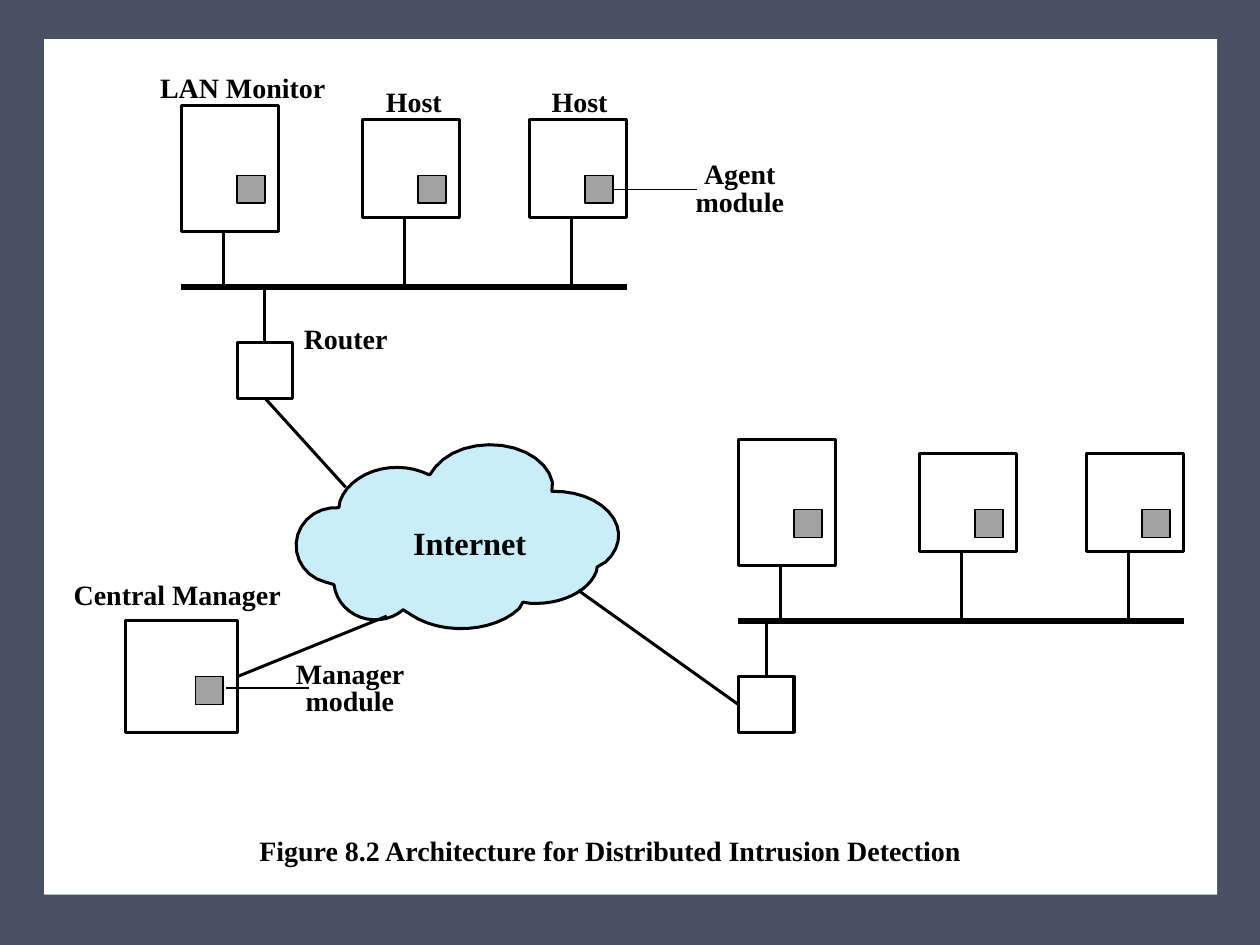
from math import atan2, cos, pi, sin

from lxml import etree
from pptx import Presentation
from pptx import util as u
from pptx.dml.color import RGBColor
from pptx.enum import shapes, text
from pptx.oxml import ns

NAVY = RGBColor(0x4A, 0x50, 0x63)
WHITE = RGBColor(0xFF, 0xFF, 0xFF)
BLACK = RGBColor(0, 0, 0)
GREY = RGBColor(0xA2, 0xA2, 0xA2)
SKY = RGBColor(0xCA, 0xED, 0xFA)

CELL = 4.42 / 40  # inches per grid column or row
LEFT, TOP = 1.44, 0.84  # grid origin: the corner of the LAN monitor
THIN, MEDIUM, THICK = 0.85, 1.73, 3.5
FONT = {"name": "Times New Roman", "size": u.Pt(16), "bold": True}

# Each lobe, clockwise: the cusp where it starts, its centre, its radii (inches)
CLOUD_LOBES = [
    ((3.41, 3.77), (3.89, 3.88), (0.50, 0.35)),
    ((4.38, 3.90), (4.40, 4.25), (0.51, 0.35)),
    ((4.74, 4.50), (4.25, 4.45), (0.50, 0.34)),
    ((4.15, 4.78), (3.66, 4.62), (0.56, 0.37)),
    ((3.20, 4.84), (2.98, 4.61), (0.33, 0.31)),
    ((2.65, 4.64), (2.66, 4.33), (0.31, 0.30)),
    ((2.69, 4.03), (3.15, 4.08), (0.47, 0.37)),
]

# Text, centre column, top row, width in columns
LABELS = [
    ("LAN Monitor", 4.4, -2.6, 14),
    ("Host", 16.7, -1.6, 6),
    ("Host", 28.6, -1.6, 6),
    ("Router", 11.8, 15.4, 8),
    ("Central Manager", -0.3, 33.8, 17),
    ("Figure 8.2 Architecture for Distributed Intrusion Detection", 30.8, 52.2, 54),
]


def at(col, row):
    return u.Inches(LEFT + col * CELL), u.Inches(TOP + row * CELL)


def style(s, fill=None, width=None):
    s.shadow.inherit = False
    if fill is None:
        s.fill.background()
    else:
        s.fill.solid()
        s.fill.fore_color.rgb = fill
    if width is None:
        s.line.fill.background()
    else:
        s.line.color.rgb = BLACK
        s.line.width = u.Pt(width)


def box(sp, col, row, cols, rows, fill=None, width=MEDIUM):
    size = u.Inches(cols * CELL), u.Inches(rows * CELL)
    s = sp.add_shape(shapes.MSO_SHAPE.RECTANGLE, *at(col, row), *size)
    style(s, fill, width)


def module(sp, col, row):
    box(sp, col, row, 2, 2, GREY, THIN)


def line(sp, start, end, width=MEDIUM):
    s = sp.add_connector(shapes.MSO_CONNECTOR.STRAIGHT, *at(*start), *at(*end))
    s.line.color.rgb = BLACK
    s.line.width = u.Pt(width)
    etree.SubElement(s._element.spPr, ns.qn("a:effectLst"))


def label(sp, words, center, row, cols, size=16, spacing=None):
    s = sp.add_textbox(*at(center - cols / 2, row), u.Inches(cols * CELL),
                       u.Inches(0.51 if spacing else 0.29))
    tf = s.text_frame
    margins = {"margin_left": 0, "margin_right": 0, "margin_bottom": 0,
               "margin_top": u.Inches(0.06 if spacing else 0.01)}
    for name, value in {**margins, "word_wrap": True}.items():
        setattr(tf, name, value)
    p = tf.paragraphs[0]
    p.alignment = text.PP_ALIGN.CENTER
    if spacing:
        p.line_spacing = u.Pt(spacing)
    r = p.add_run()
    r.text = words
    for name, value in {**FONT, "size": u.Pt(size)}.items():
        setattr(r.font, name, value)
    r.font.color.rgb = BLACK


def lan(sp, col, row, router_offset):
    """A monitor and two hosts on a bus, with a router below it."""
    bus = row + 13
    for offset, drop in ((0, 0), (13, 1), (25, 1)):
        x = col + offset
        box(sp, x, row + drop, 7, 9 - 2 * drop)
        module(sp, x + 4, row + 5)
        line(sp, (x + 3, row + 9 - drop), (x + 3, bus))
    line(sp, (col, bus), (col + 32, bus), THICK)
    router = col + router_offset
    box(sp, router, bus + 4, 4, 4)
    line(sp, (router + 2, bus), (router + 2, bus + 4))


def cloud(sp, steps=14):
    points = []
    ends = [lobe[0] for lobe in CLOUD_LOBES[1:] + CLOUD_LOBES[:1]]
    for (start, (cx, cy), (rx, ry)), end in zip(CLOUD_LOBES, ends):
        first, last = (atan2((y - cy) / ry, (x - cx) / rx) for x, y in (start, end))
        sweep = (last - first) % (2 * pi)
        points.append(start)
        for i in range(1, steps):
            angle = first + sweep * i / steps
            points.append((cx + rx * cos(angle), cy + ry * sin(angle)))
    points = [(u.Inches(x), u.Inches(y)) for x, y in points]
    outline = sp.build_freeform(*points[0])
    outline.add_line_segments(points[1:], close=True)
    style(outline.convert_to_shape(), SKY, MEDIUM)


def backdrop(s):
    s.background.fill.solid()
    s.background.fill.fore_color.rgb = NAVY
    panel = s.shapes.add_shape(shapes.MSO_SHAPE.RECTANGLE, u.Inches(0.35),
                               u.Inches(0.31), u.Inches(9.31), u.Inches(6.79))
    style(panel, WHITE)


def main():
    prs = Presentation()
    prs.slide_width, prs.slide_height = u.Inches(10), u.Inches(7.5)
    s = prs.slides.add_slide(prs.slide_layouts[6])
    sp = s.shapes
    backdrop(s)
    cloud(sp)

    lan(sp, 0, 0, router_offset=4)
    lan(sp, 40, 24, router_offset=0)
    box(sp, -4, 37, 8, 8)
    module(sp, 1, 41)

    line(sp, (6, 21), (11.8, 27.4))
    line(sp, (40, 43), (28.5, 34.8))
    line(sp, (4, 41), (14.75, 36.65))
    line(sp, (31, 6), (37, 6), THIN)
    line(sp, (3.2, 41.8), (9.2, 41.8), THIN)

    for entry in LABELS:
        label(sp, *entry)
    label(sp, "Internet", 20.7, 29.9, 10, size=18.5)
    label(sp, "Agent module", 40.1, 3.5, 8, spacing=15.9)
    label(sp, "Manager module", 12.1, 39.4, 9, spacing=15.9)
    prs.save("out.pptx")


if __name__ == "__main__":
    main()
